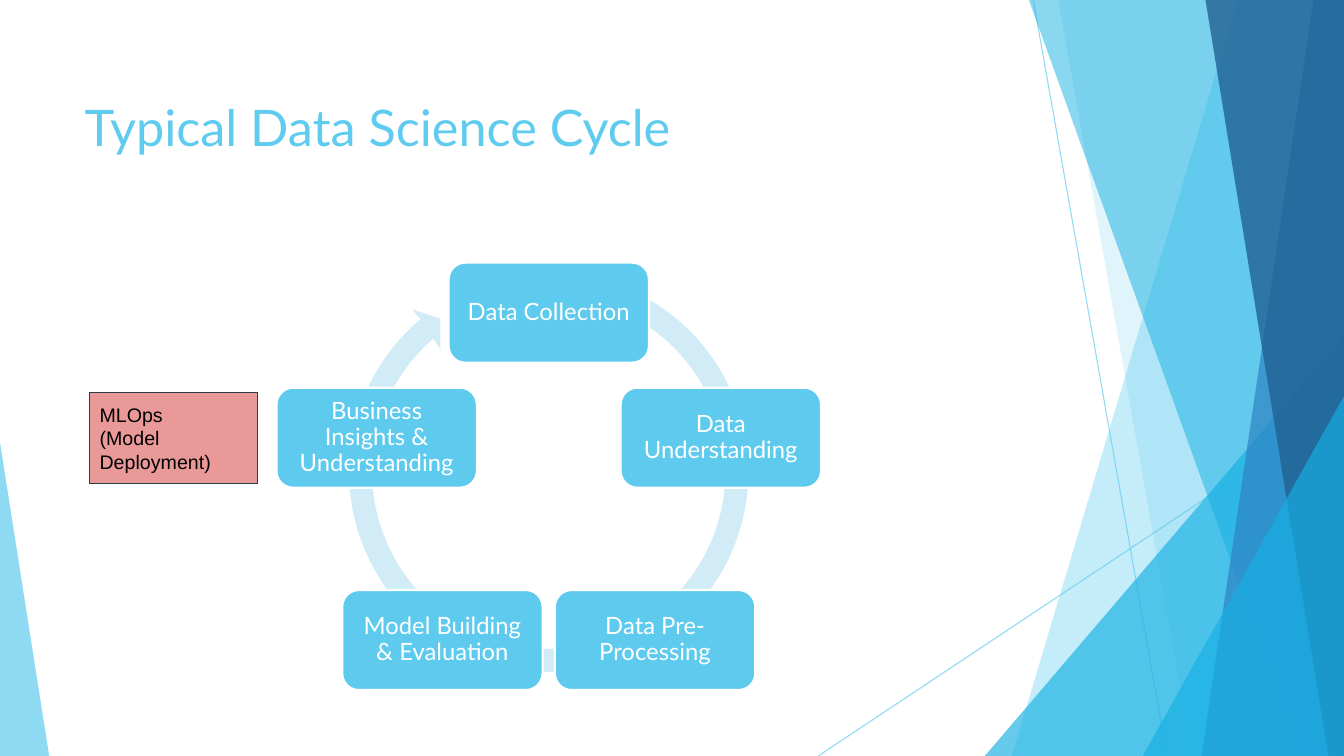
from dataclasses import dataclass
from math import cos, radians, sin, tan
from typing import Optional

from lxml.etree import SubElement
from pptx import Presentation
from pptx.dml.color import RGBColor
from pptx.enum.shapes import MSO_CONNECTOR, MSO_SHAPE
from pptx.enum.text import MSO_ANCHOR, MSO_AUTO_SIZE, PP_ALIGN
from pptx.oxml.ns import qn
from pptx.util import Cm, Pt

COLORS = {
    "sky": "5FCBEF", "azure": "16B0E3", "blue": "2E83C3", "navy": "226292",
    "stage": "5ECBEE", "ring": "D1ECF7", "white": "FFFFFF",
    "pink": "EA9999", "slate": "2C3C43", "black": "000000",
}
WIDTH, HEIGHT = 33.87, 19.05
Point = tuple[float, float]


@dataclass(frozen=True)
class Facet:
    """Translucent band, from its top-left corner clockwise."""
    points: tuple[Point, ...]
    color: str
    opacity: int


@dataclass(frozen=True)
class Wedge:
    """Translucent right triangle standing on the bottom edge."""
    left: float
    top: float
    width: float
    apex: float
    color: str
    opacity: int


@dataclass(frozen=True)
class Box:
    left: float
    top: float
    width: float
    height: float
    kind: MSO_SHAPE
    fill: str
    outline: str
    outline_pt: float
    margin: float
    lines: tuple[str, ...]
    font: str
    size: int
    color: str
    align: PP_ALIGN
    spacing: float


def band(top_left: float, bottom_left: float, color: str, opacity: int) -> Facet:
    corners = ((top_left, 0), (WIDTH, 0), (WIDTH, HEIGHT), (bottom_left, HEIGHT))
    return Facet(corners, color, opacity)


RAYS = (((26.04, 0), (29.41, HEIGHT)), ((WIDTH, 10.24), (20.62, HEIGHT)))
BACKDROP = (
    band(31.19, 25.5, "sky", 36),
    band(26.67, 30.05, "sky", 20),
    Wedge(24.82, 8.46, 9.05, 1, "azure", 66),
    band(25.93, 32.79, "azure", 50),
    band(33.1, 30.28, "blue", 70),
    band(30.38, 33.48, "navy", 80),
    Wedge(28.8, 9.98, 5.07, 1, "azure", 66),
    Wedge(0, 11.15, 1.24, 0, "sky", 70),
)

STAGES = (
    "Data Collection", "Data Understanding", "Data Pre-Processing",
    "Model Building & Evaluation", "Business Insights & Understanding",
)
CENTER_X = 13.83
STAGE_CENTER_Y, STAGE_RADIUS = 12.44, 4.56
STAGE_WIDTH, STAGE_HEIGHT = 5.05, 2.52
RING_CENTER_Y, RING_OUTER, RING_INNER = 11.9, 5.03, 4.45
RING_START, RING_END, RING_CURVES = 20, 320, 4
ARROWHEAD = ((10.39, 7.8), (11.1, 8.03), (11.1, 8.81), (10.92, 8.53))


def rgb(name: str) -> RGBColor:
    return RGBColor.from_string(COLORS[name])


def set_opacity(fill_holder, percent: int) -> None:
    color = fill_holder.find(".//" + qn("a:srgbClr"))
    SubElement(color, qn("a:alpha")).set("val", str(percent * 1000))


def paint(shape, color: str, opacity: Optional[int] = None) -> None:
    shape.shadow.inherit = False
    shape.fill.solid()
    shape.fill.fore_color.rgb = rgb(color)
    if opacity is not None:
        set_opacity(shape._element.spPr.find(qn("a:solidFill")), opacity)
    shape.line.fill.background()


def on_circle(center_y: float, radius: float, degrees: float) -> Point:
    """Point at a clockwise angle from the top of the circle."""
    angle = radians(degrees)
    return CENTER_X + radius * sin(angle), center_y - radius * cos(angle)


def draw_outline(shapes, points: tuple[Point, ...], color: str,
                 opacity: Optional[int] = None):
    corners = [(Cm(x), Cm(y)) for x, y in points]
    builder = shapes.build_freeform(*corners[0], scale=1.0)
    builder.add_line_segments(corners[1:], close=True)
    outline = builder.convert_to_shape()
    paint(outline, color, opacity)
    return outline


def draw_wedge(shapes, wedge: Wedge) -> None:
    triangle = shapes.add_shape(
        MSO_SHAPE.ISOSCELES_TRIANGLE, Cm(wedge.left), Cm(wedge.top),
        Cm(wedge.width), Cm(HEIGHT - wedge.top))
    triangle.adjustments[0] = wedge.apex
    paint(triangle, wedge.color, wedge.opacity)


def draw_ray(shapes, start: Point, end: Point) -> None:
    ray = shapes.add_connector(
        MSO_CONNECTOR.STRAIGHT, Cm(start[0]), Cm(start[1]), Cm(end[0]), Cm(end[1]))
    ray.line.color.rgb = rgb("sky")
    ray.line.width = Pt(0.75)
    properties = ray._element.spPr
    set_opacity(properties.find(qn("a:ln")), 70)
    SubElement(properties, qn("a:effectLst"))


def ring_arc(radius: float, start: float, end: float) -> tuple[Point, ...]:
    """Start point, then two controls and an end point for each curve."""
    step = (end - start) / RING_CURVES
    reach = radius * 4 / 3 * tan(radians(step / 4))
    points = [on_circle(RING_CENTER_Y, radius, start)]
    for curve in range(RING_CURVES):
        first, last = radians(start + curve * step), radians(start + (curve + 1) * step)
        x0, y0 = points[-1]
        x1, y1 = on_circle(RING_CENTER_Y, radius, start + (curve + 1) * step)
        points += [(x0 + reach * cos(first), y0 + reach * sin(first)),
                   (x1 - reach * cos(last), y1 - reach * sin(last)), (x1, y1)]
    return tuple(points)


def draw_ring(shapes) -> None:
    outer = ring_arc(RING_OUTER, RING_START, RING_END)
    inner = ring_arc(RING_INNER, RING_END, RING_START)
    ring = draw_outline(shapes, outer + ARROWHEAD + inner, "ring")
    # Turn each run of three segments along the arcs into one curve
    segments = list(ring._element.spPr.iter(qn("a:lnTo")))
    arc_length = 3 * RING_CURVES
    for arc in (segments[:arc_length], segments[-arc_length:]):
        for first in range(0, arc_length, 3):
            arc[first].tag = qn("a:cubicBezTo")
            for segment in arc[first + 1:first + 3]:
                arc[first].append(segment[0])
                segment.getparent().remove(segment)


def add_run(paragraph, text: str, font: str, size: int, color: str) -> None:
    run = paragraph.add_run()
    run.text = text
    run.font.name = font
    run.font.size = Pt(size)
    run.font.color.rgb = rgb(color)


def draw_box(shapes, box: Box) -> None:
    shape = shapes.add_shape(
        box.kind, Cm(box.left), Cm(box.top), Cm(box.width), Cm(box.height))
    paint(shape, box.fill)
    shape.line.color.rgb = rgb(box.outline)
    shape.line.width = Pt(box.outline_pt)
    frame = shape.text_frame
    frame.word_wrap = True
    frame.vertical_anchor = MSO_ANCHOR.MIDDLE
    frame.margin_left = frame.margin_right = Cm(box.margin)
    frame.margin_top = frame.margin_bottom = Cm(box.margin)
    for index, line in enumerate(box.lines):
        paragraph = frame.add_paragraph() if index else frame.paragraphs[0]
        paragraph.alignment, paragraph.line_spacing = box.align, box.spacing
        add_run(paragraph, line, box.font, box.size, box.color)


def stage_box(index: int, label: str) -> Box:
    x, y = on_circle(STAGE_CENTER_Y, STAGE_RADIUS, index * 360 / len(STAGES))
    return Box(x - STAGE_WIDTH / 2, y - STAGE_HEIGHT / 2, STAGE_WIDTH, STAGE_HEIGHT,
               MSO_SHAPE.ROUNDED_RECTANGLE, "stage", "white", 1.5, 0.18,
               (label,), "Lato", 17, "white", PP_ALIGN.CENTER, 0.9)


def main() -> None:
    deck = Presentation()
    deck.slide_width, deck.slide_height = Cm(WIDTH), Cm(HEIGHT)
    shapes = deck.slides.add_slide(deck.slide_layouts[5]).shapes
    # Title
    title = shapes.title
    title.left, title.top, title.width, title.height = Cm(1.88), Cm(2.3), Cm(23.88), Cm(3.66)
    heading = title.text_frame
    heading.vertical_anchor = MSO_ANCHOR.TOP
    heading.auto_size = MSO_AUTO_SIZE.NONE
    heading.paragraphs[0].alignment = PP_ALIGN.LEFT
    add_run(heading.paragraphs[0], "Typical Data Science Cycle", "Lato", 36, "sky")
    # Faceted backdrop
    for start, end in RAYS:
        draw_ray(shapes, start, end)
    for part in BACKDROP:
        if isinstance(part, Wedge):
            draw_wedge(shapes, part)
        else:
            draw_outline(shapes, part.points, part.color, part.opacity)
    # Cycle of stages
    draw_ring(shapes)
    for index, label in enumerate(STAGES):
        draw_box(shapes, stage_box(index, label))
    # Deployment note
    draw_box(shapes, Box(2.26, 9.88, 4.24, 2.31, MSO_SHAPE.RECTANGLE, "pink", "slate",
                         0.75, 0.25, ("MLOps", "(Model Deployment)"), "Arial", 14,
                         "black", PP_ALIGN.LEFT, 1.0))
    deck.save("out.pptx")


if __name__ == "__main__":
    main()
